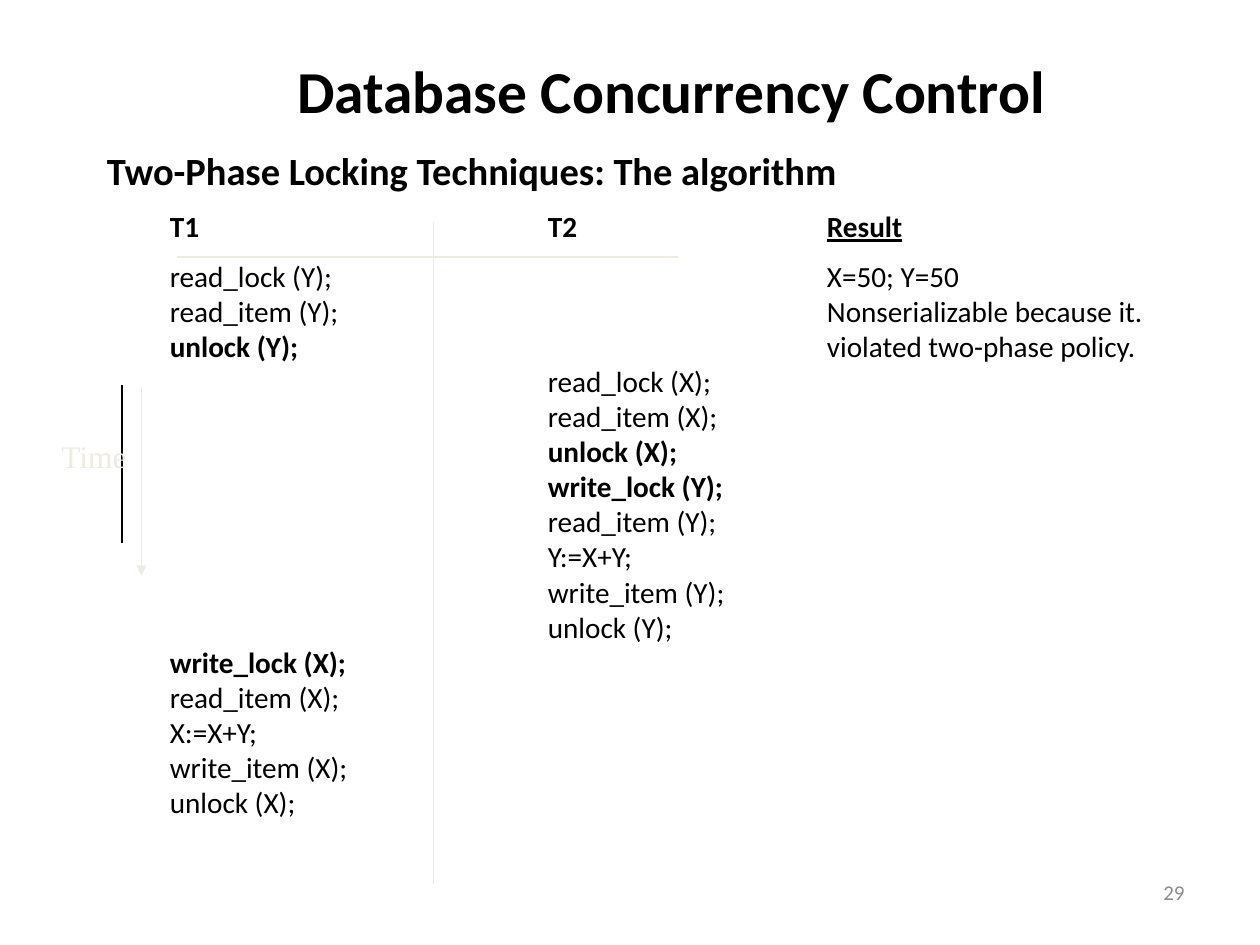
from lxml import etree
from pptx import Presentation
from pptx.dml.color import RGBColor
from pptx.enum import shapes, text
from pptx.oxml import ns
from pptx.util import Pt

COLORS = {"ink": "000000", "pale": "EEECE1", "number": "8C8C8C"}
COLUMN_STOPS = (36, 252, 411.5)
SCHEDULE = [
    ("*T1", "*T2", "*_Result"),
    ("read_lock (Y);", "", "X=50; Y=50"),
    ("read_item (Y);", "", "Nonserializable because it."),
    ("*unlock (Y);", "", "violated two-phase policy."),
    ("", "read_lock (X);"),
    ("", "read_item (X);"),
    ("", "*unlock (X);"),
    ("", "*write_lock (Y);"),
    ("", "read_item (Y);"),
    ("", "Y:=X+Y;"),
    ("", "write_item (Y);"),
    ("", "unlock (Y);"),
    ("*write_lock (X);",),
    ("read_item (X);",),
    ("X:=X+Y;",),
    ("write_item (X);",),
    ("unlock (X);",),
]


class Deck:
    font = "Calibri"

    def __init__(self, width, height):
        self.file = Presentation()
        self.file.slide_width, self.file.slide_height = Pt(width), Pt(height)
        self.slide = self.file.slides.add_slide(self.file.slide_layouts[5])

    def style(self, run, size, color="ink", bold=False, underline=False, font=None):
        run.font.name = font or self.font
        run.font.size = Pt(size)
        run.font.bold = bold
        run.font.underline = underline
        run.font.color.rgb = RGBColor.from_string(COLORS[color])

    def title(self, words, box, size):
        heading = self.slide.shapes.title
        heading.left, heading.top, heading.width, heading.height = map(Pt, box)
        heading.text_frame.text = words
        heading.text_frame.vertical_anchor = text.MSO_ANCHOR.MIDDLE
        paragraph = heading.text_frame.paragraphs[0]
        paragraph.alignment = text.PP_ALIGN.CENTER
        self.style(paragraph.runs[0], size, bold=True)

    def label(self, words, box, size, wrap=True, align=text.PP_ALIGN.LEFT,
              anchor=text.MSO_ANCHOR.TOP, **look):
        frame = self.slide.shapes.add_textbox(*map(Pt, box)).text_frame
        frame.word_wrap = wrap
        frame.vertical_anchor = anchor
        frame.text = words
        frame.paragraphs[0].alignment = align
        self.style(frame.paragraphs[0].runs[0], size, **look)
        return frame

    def row(self, frame, cells, size, before):
        paragraph = frame.add_paragraph()
        paragraph.space_before = Pt(before)
        stops = etree.SubElement(paragraph._p.get_or_add_pPr(), ns.qn("a:tabLst"))
        for stop in COLUMN_STOPS:
            etree.SubElement(stops, ns.qn("a:tab"), pos=str(Pt(stop)), algn="l")
        for cell in cells:
            for words in ("\t", cell.lstrip("*_")):
                if words:
                    run = paragraph.add_run()
                    run.text = words
                    self.style(run, size, bold=cell.startswith("*"),
                               underline=words != "\t" and cell.startswith("*_"))

    def line(self, start, end, color, width=0.75, arrow=False):
        rule = self.slide.shapes.add_connector(
            shapes.MSO_CONNECTOR.STRAIGHT, *map(Pt, start + end))
        rule.line.color.rgb = RGBColor.from_string(COLORS[color])
        rule.line.width = Pt(width)
        if arrow:
            etree.SubElement(rule.line._get_or_add_ln(), ns.qn("a:tailEnd"), type="triangle")
        etree.SubElement(rule._element.spPr, ns.qn("a:effectLst"))


deck = Deck(720, 540)
deck.label("29", (516, 492, 168, 36), 12, align=text.PP_ALIGN.RIGHT,
           anchor=text.MSO_ANCHOR.MIDDLE, color="number")
deck.title("Database Concurrency Control", (101, 15, 565, 72), 34)

schedule = deck.label("Two-Phase Locking Techniques: The algorithm",
                      (54, 80.6, 612, 390), 22, bold=True)
for index, cells in enumerate(SCHEDULE):
    deck.row(schedule, cells, 16.7, before=8.5 if index < 2 else 0)

deck.line((69.8, 220.3), (69.8, 310.3), "ink")
deck.line((80.8, 221), (80.8, 329), "pale", width=1, arrow=True)
deck.label("Time", (28, 246.2, 52.6, 28.8), 18, wrap=False, color="pale",
           font="Times New Roman")
deck.line((247.7, 126.7), (247.7, 505.4), "pale")
deck.line((101, 146.9), (387.4, 146.9), "pale")

deck.file.save("out.pptx")
